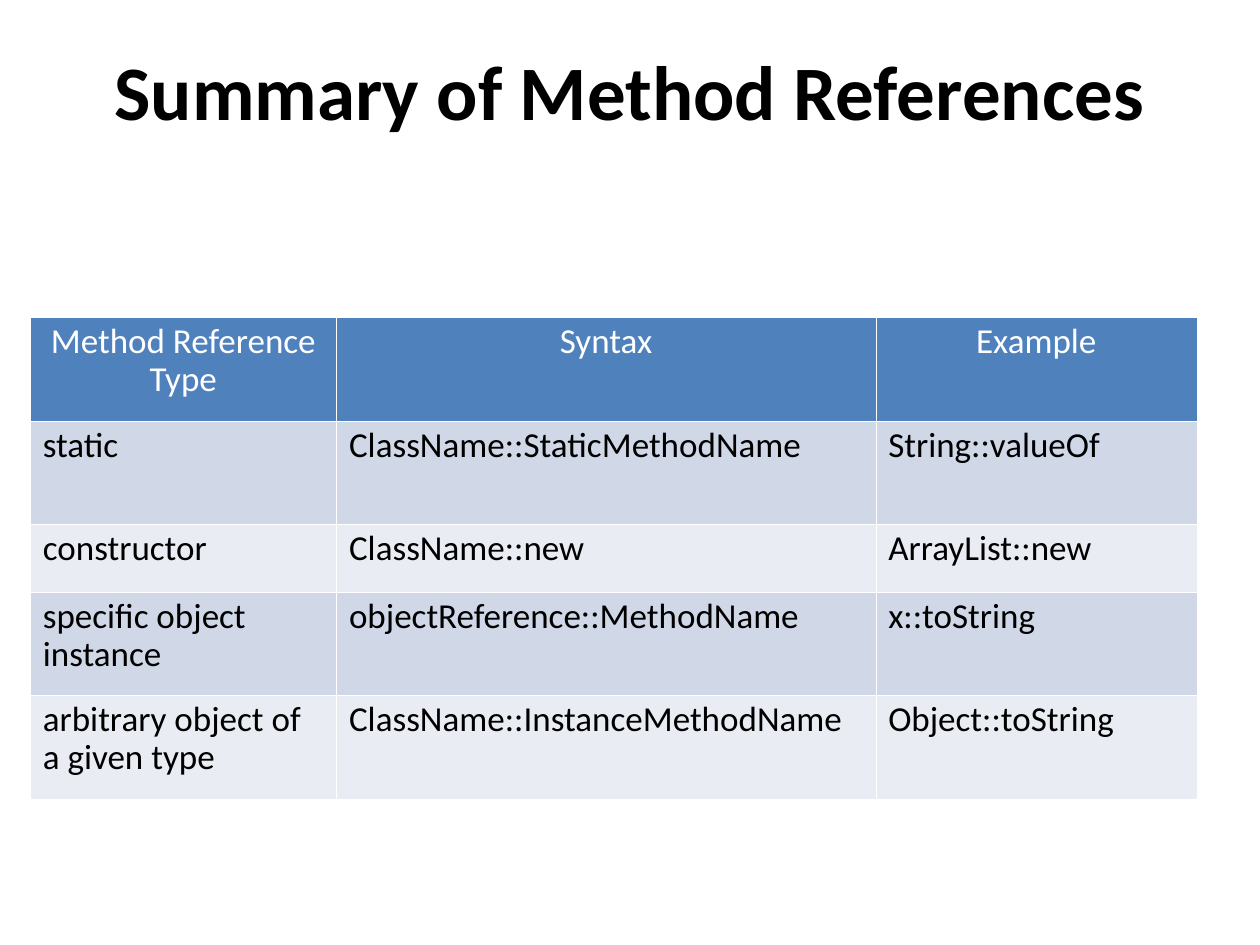
from lxml.etree import SubElement
from pptx import Presentation
from pptx.dml.color import RGBColor
from pptx.enum.text import MSO_ANCHOR, PP_ALIGN
from pptx.oxml.ns import qn
from pptx.util import Inches, Pt

COLORS = {
    "text": "000000",
    "border": "FFFFFF",
    "header_text": "FFFFFF",
    "header": "4F81BD",
    "odd_row": "D0D8E7",
    "even_row": "E9ECF3",
}
COLUMN_WIDTHS = [2.43, 4.28, 2.55]
ROW_HEIGHTS = [0.82, 0.82, 0.54, 0.82, 0.82]
METHOD_REFERENCES = [
    ["Method Reference Type", "Syntax", "Example"],
    ["static", "ClassName::StaticMethodName", "String::valueOf"],
    ["constructor", "ClassName::new", "ArrayList::new"],
    ["specific object instance", "objectReference::MethodName", "x::toString"],
    ["arbitrary object of a given type", "ClassName::InstanceMethodName", "Object::toString"],
]


class SlideBuilder:
    font_name = "Calibri"
    title_size = 44
    cell_size = 20
    cell_spacing = 0.88
    border_width = 0.06

    def __init__(self, slide):
        self.slide = slide

    def run(self, paragraph, text, size, color, bold=False):
        run = paragraph.add_run()
        run.text = text
        run.font.name = self.font_name
        run.font.size = Pt(size)
        run.font.bold = bold
        run.font.color.rgb = RGBColor.from_string(COLORS[color])

    def title(self, text, left, top, width, height):
        box = self.slide.shapes.add_textbox(
            Inches(left), Inches(top), Inches(width), Inches(height))
        frame = box.text_frame
        frame.word_wrap = True
        frame.vertical_anchor = MSO_ANCHOR.TOP
        paragraph = frame.paragraphs[0]
        paragraph.alignment = PP_ALIGN.CENTER
        self.run(paragraph, text, self.title_size, "text", bold=True)

    def borders(self, cell):
        properties = cell._tc.get_or_add_tcPr()
        for position, side in enumerate(("a:lnL", "a:lnR", "a:lnT", "a:lnB")):
            line = SubElement(properties, qn(side), w=str(Pt(self.border_width)))
            properties.insert(position, line)
            fill = SubElement(line, qn("a:solidFill"))
            SubElement(fill, qn("a:srgbClr"), val=COLORS["border"])

    def cell(self, cell, text, fill, color, alignment):
        cell.fill.solid()
        cell.fill.fore_color.rgb = RGBColor.from_string(COLORS[fill])
        self.borders(cell)
        paragraph = cell.text_frame.paragraphs[0]
        paragraph.alignment = alignment
        paragraph.line_spacing = self.cell_spacing
        self.run(paragraph, text, self.cell_size, color)

    def table(self, rows, left, top, widths, heights):
        table = self.slide.shapes.add_table(
            len(rows), len(widths), Inches(left), Inches(top),
            Inches(sum(widths)), Inches(sum(heights))).table
        for column, width in zip(table.columns, widths):
            column.width = Inches(width)
        for index, (row, height, texts) in enumerate(zip(table.rows, heights, rows)):
            row.height = Inches(height)
            if index == 0:
                style = "header", "header_text", PP_ALIGN.CENTER
            else:
                style = "odd_row" if index % 2 else "even_row", "text", PP_ALIGN.LEFT
            for cell, text in zip(row.cells, texts):
                self.cell(cell, text, *style)


def main():
    presentation = Presentation()
    presentation.slide_width = Inches(10)
    presentation.slide_height = Inches(7.5)
    builder = SlideBuilder(presentation.slides.add_slide(presentation.slide_layouts[6]))
    builder.title("Summary of Method References", 0.5, 0.3, 9, 1.25)
    builder.table(METHOD_REFERENCES, 0.24, 2.52, COLUMN_WIDTHS, ROW_HEIGHTS)
    presentation.save("out.pptx")


if __name__ == "__main__":
    main()
